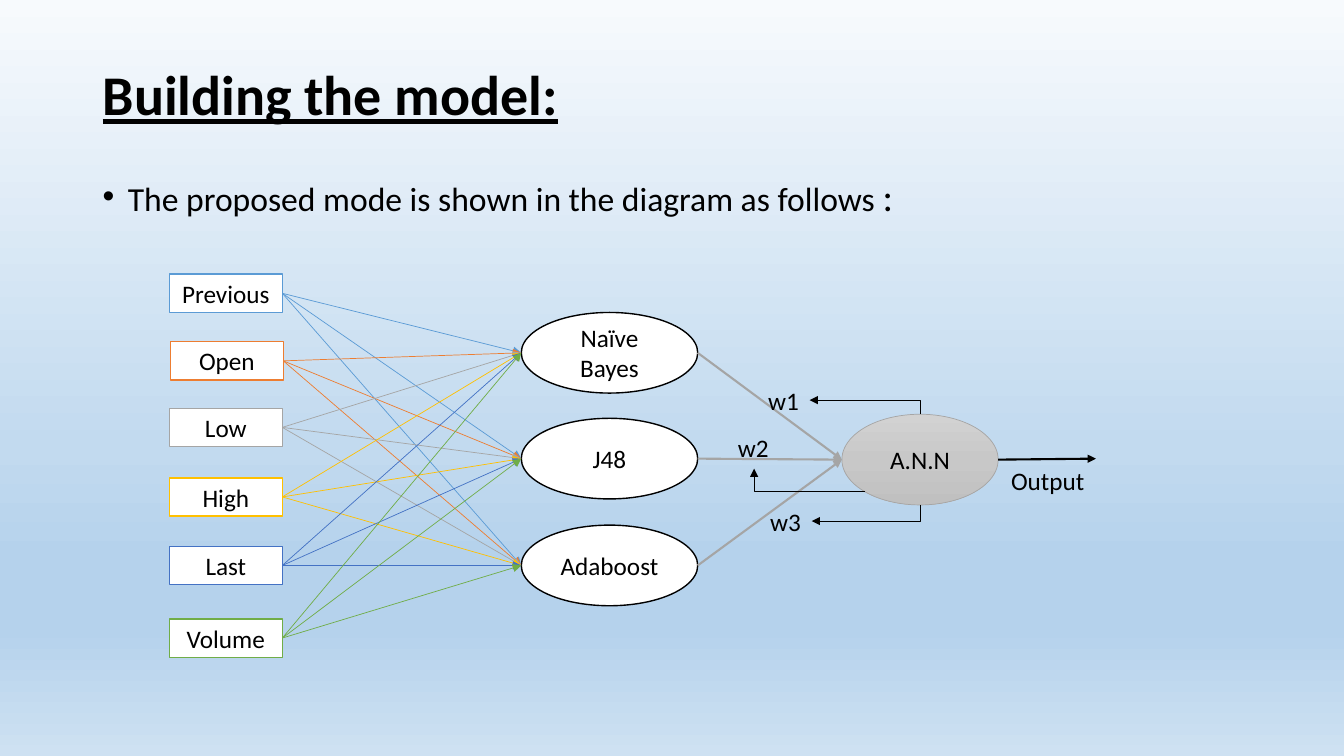
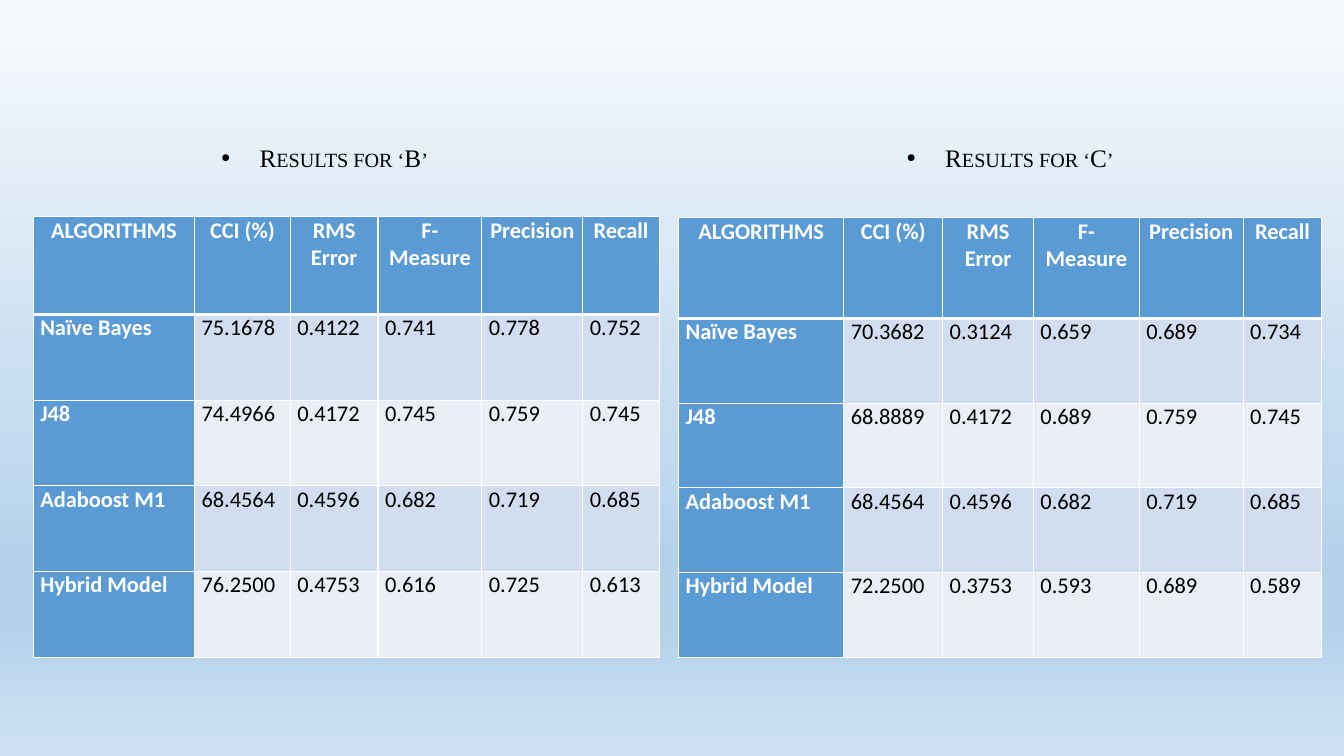
from dataclasses import dataclass

from lxml.etree import SubElement
from pptx import Presentation
from pptx.dml.color import RGBColor
from pptx.enum.shapes import MSO_CONNECTOR as Connector, MSO_SHAPE as Shape
from pptx.enum.text import MSO_ANCHOR as Anchor, MSO_AUTO_SIZE as AutoSize, PP_ALIGN as Align
from pptx.oxml.ns import qn
from pptx.util import Inches, Pt


@dataclass(frozen=True)
class Theme:
    font: str = "Calibri"
    caption_font: str = "Times New Roman"
    black: str = "000000"
    white: str = "FFFFFF"
    blue: str = "5B9BD5"
    orange: str = "ED7D31"
    gray: str = "A5A5A5"
    gold: str = "FFC000"
    indigo: str = "4472C4"
    green: str = "70AD47"
    bands: tuple = ("D2DEEF", "EAEFF7")
    background: tuple = ((0, "F7FAFD"), (59, "C2DAEF"), (74, "B5D2EC"), (83, "B5D2EC"), (100, "CEE1F2"))
    network_fill: tuple = ((0, "D2D2D2"), (50, "C8C8C8"), (100, "C0C0C0"))
    title_size: int = 40
    colon_size: int = 28
    body_size: int = 24
    label_size: int = 18
    table_size: int = 16
    thin: float = 0.5
    normal: float = 1
    thick: float = 1.5
    header_rule: float = 3


THEME = Theme()


def add_text(paragraph, text, size=THEME.label_size, font=THEME.font, color=THEME.black,
             bold=False, underline=False, small_caps=False, align=None):
    run = paragraph.add_run()
    run.text = text
    run.font.size = Pt(size)
    run.font.name = font
    run.font.bold = bold
    run.font.underline = underline
    run.font.color.rgb = RGBColor.from_string(color)
    if small_caps:
        run._r.get_or_add_rPr().set("cap", "small")
    if align is not None:
        paragraph.alignment = align


def add_bullet(paragraph, indent):
    properties = paragraph._p.get_or_add_pPr()
    properties.set("marL", str(Inches(indent)))
    properties.set("indent", str(-Inches(indent)))
    SubElement(properties, qn("a:buFont"), typeface="Arial")
    SubElement(properties, qn("a:buChar"), char="•")


def fill_gradient(fill, element, stops):
    fill.gradient()
    fill.gradient_angle = 270
    stop_list = next(element.iter(qn("a:gsLst")))
    for stop in list(stop_list):
        stop_list.remove(stop)
    for position, color in stops:
        stop = SubElement(stop_list, qn("a:gs"), pos=str(position * 1000))
        SubElement(stop, qn("a:srgbClr"), val=color)


def set_borders(cell, top, bottom):
    properties = cell._tc.get_or_add_tcPr()
    widths = {"L": THEME.normal, "R": THEME.normal, "T": top, "B": bottom}
    for side, width in widths.items():
        line = SubElement(properties, qn(f"a:ln{side}"), w=str(Pt(width)))
        SubElement(SubElement(line, qn("a:solidFill")), qn("a:srgbClr"), val=THEME.white)


class Deck:
    def __init__(self):
        self.presentation = Presentation()
        self.presentation.slide_width = Inches(13.33)
        self.presentation.slide_height = Inches(7.5)
        self.slide = None

    def new_slide(self):
        self.slide = self.presentation.slides.add_slide(self.presentation.slide_layouts[6])
        fill_gradient(self.slide.background.fill, self.slide.element, THEME.background)

    def text_box(self, left, top, width, height, wrap=True):
        box = self.slide.shapes.add_textbox(Inches(left), Inches(top), Inches(width), Inches(height))
        frame = box.text_frame
        frame.word_wrap = wrap
        frame.auto_size = AutoSize.NONE if wrap else AutoSize.SHAPE_TO_FIT_TEXT
        return frame

    def title(self, text):
        frame = self.text_box(0.92, 0.25, 11.5, 1.44)
        frame.vertical_anchor = Anchor.MIDDLE
        frame.paragraphs[0].line_spacing = 0.9
        add_text(frame.paragraphs[0], text, size=THEME.title_size, bold=True, underline=True)

    def body(self, text, ending):
        paragraph = self.text_box(0.92, 1.71, 11.5, 0.55).paragraphs[0]
        paragraph.line_spacing = 0.9
        paragraph.space_before = Pt(10)
        add_bullet(paragraph, 0.25)
        add_text(paragraph, text, size=THEME.body_size)
        add_text(paragraph, ending, size=THEME.colon_size)

    def label(self, text, left, top, width):
        frame = self.text_box(left, top, width, 0.4, wrap=False)
        add_text(frame.paragraphs[0], text)

    def caption(self, text, left):
        paragraph = self.text_box(left, 1.4, 2.32, 0.37, wrap=False).paragraphs[0]
        paragraph.line_spacing = 0.9
        paragraph.space_before = Pt(12)
        paragraph.space_after = Pt(6)
        add_bullet(paragraph, 0.38)
        add_text(paragraph, text, font=THEME.caption_font, small_caps=True, align=Align.CENTER)

    def node(self, text, kind, left, top, width, height, line_color,
             line_width=THEME.normal, gradient=None):
        shape = self.slide.shapes.add_shape(
            kind, Inches(left), Inches(top), Inches(width), Inches(height))
        shape.shadow.inherit = False
        if gradient:
            fill_gradient(shape.fill, shape.element, gradient)
        else:
            shape.fill.solid()
            shape.fill.fore_color.rgb = RGBColor.from_string(THEME.white)
        shape.line.color.rgb = RGBColor.from_string(line_color)
        shape.line.width = Pt(line_width)
        shape.text_frame.word_wrap = True
        shape.text_frame.vertical_anchor = Anchor.MIDDLE
        add_text(shape.text_frame.paragraphs[0], text, align=Align.CENTER)

    def arrow(self, start, end, color, width, kind=Connector.STRAIGHT):
        connector = self.slide.shapes.add_connector(
            kind, *(Inches(value) for value in (*start, *end)))
        connector.line.color.rgb = RGBColor.from_string(color)
        connector.line.width = Pt(width)
        properties = connector.element.spPr
        SubElement(properties.find(qn("a:ln")), qn("a:tailEnd"), type="triangle")
        SubElement(properties, qn("a:effectLst"))
        return connector

    def elbow_arrow(self, start, end, turns=1):
        (start_x, start_y), (end_x, end_y) = start, end
        center_x, center_y = (start_x + end_x) / 2, (start_y + end_y) / 2
        half_width, half_height = abs(end_y - start_y) / 2, abs(end_x - start_x) / 2
        connector = self.arrow(
            (center_x - half_width, center_y - half_height),
            (center_x + half_width, center_y + half_height),
            THEME.black, THEME.thin, Connector.ELBOW)
        properties = connector.element.spPr
        frame = properties.find(qn("a:xfrm"))
        rising = end_y < start_y
        frame.set("rot", str((270 if rising else 90) * 60000))
        if rising:
            frame.set("flipV", "1")
        geometry = properties.find(qn("a:prstGeom"))
        geometry.set("prst", f"bentConnector{turns + 1}")
        if turns == 2:
            SubElement(geometry.find(qn("a:avLst")), qn("a:gd"), name="adj1", fmla="val 0")

    def table(self, rows, left, top, column_widths, row_heights):
        table = self.slide.shapes.add_table(
            len(rows), len(column_widths), Inches(left), Inches(top),
            Inches(sum(column_widths)), Inches(sum(row_heights))).table
        for column, width in zip(table.columns, column_widths):
            column.width = Inches(width)
        for row, height in zip(table.rows, row_heights):
            row.height = Inches(height)
        for row_index, values in enumerate(rows):
            for column_index, value in enumerate(values):
                self.table_cell(table.cell(row_index, column_index), value, row_index, column_index)

    def table_cell(self, cell, value, row_index, column_index):
        header = row_index == 0
        heading = header or column_index == 0
        cell.margin_left = cell.margin_right = Inches(0.07)
        cell.margin_top = cell.margin_bottom = 0
        set_borders(cell,
                    top=THEME.header_rule if row_index == 1 else THEME.normal,
                    bottom=THEME.header_rule if header else THEME.normal)
        cell.fill.solid()
        color = THEME.blue if heading else THEME.bands[(row_index - 1) % 2]
        cell.fill.fore_color.rgb = RGBColor.from_string(color)
        add_text(cell.text_frame.paragraphs[0], value, size=THEME.table_size, bold=heading,
                 color=THEME.white if heading else THEME.black,
                 align=Align.CENTER if header else Align.JUSTIFY)


def build_model_slide(deck):
    deck.new_slide()
    deck.title("Building the model:")
    deck.body("The proposed mode is shown in the diagram as follows ", ":")

    inputs = [
        ("Previous", 1.68, 2.72, THEME.blue),
        ("Open", 1.69, 3.39, THEME.orange),
        ("Low", 1.68, 4.05, THEME.gray),
        ("High", 1.68, 4.74, THEME.gold),
        ("Last", 1.68, 5.42, THEME.indigo),
        ("Volume", 1.68, 6.14, THEME.green),
    ]
    classifiers = [("Naïve Bayes", 3.1), ("J48", 4.15), ("Adaboost", 5.21)]
    input_width, input_height = 1.12, 0.38
    classifier_left, classifier_width, classifier_height = 5.17, 1.75, 0.8
    network_left, network_top, network_width, network_height = 8.35, 4.11, 1.55, 0.9
    network_middle = network_top + network_height / 2
    network_center = network_left + network_width / 2

    for name, left, top, color in inputs:
        deck.node(name, Shape.FLOWCHART_PROCESS, left, top, input_width, input_height, color)
    for name, top in classifiers:
        deck.node(name, Shape.OVAL, classifier_left, top, classifier_width, classifier_height,
                  THEME.black)
    middles = [top + classifier_height / 2 for _, top in classifiers]
    for _, left, top, color in inputs:
        for middle in middles:
            deck.arrow((left + input_width, top + input_height / 2),
                       (classifier_left, middle), color, THEME.thin)

    deck.node("A.N.N", Shape.OVAL, network_left, network_top, network_width, network_height,
              THEME.gray, THEME.thin, THEME.network_fill)
    for middle in middles:
        deck.arrow((classifier_left + classifier_width, middle),
                   (network_left, network_middle), THEME.gray, THEME.thick)
    deck.arrow((network_left + network_width, network_middle), (10.87, 4.55),
               THEME.black, THEME.thick)

    deck.label("Output", 9.93, 4.57, 0.94)
    for name, left, top in [("w1", 7.52, 3.77), ("w2", 7.22, 4.24), ("w3", 7.54, 4.97)]:
        deck.label(name, left, top, 0.51)
    deck.elbow_arrow((network_center, network_top), (8.03, 3.97))
    deck.elbow_arrow((network_center, network_top + network_height), (8.05, 5.17))
    deck.elbow_arrow((8.58, 4.88), (7.48, 4.65), turns=2)


def build_results_slide(deck):
    deck.new_slide()
    header = ["ALGORITHMS", "CCI (%)", "RMS Error", "F-Measure", "Precision", "Recall"]
    results_b = [
        header,
        ["Naïve Bayes", "75.1678", "0.4122", "0.741", "0.778", "0.752"],
        ["J48", "74.4966", "0.4172", "0.745", "0.759", "0.745"],
        ["Adaboost M1", "68.4564", "0.4596", "0.682", "0.719", "0.685"],
        ["Hybrid Model", "76.2500", "0.4753", "0.616", "0.725", "0.613"],
    ]
    results_c = [
        header,
        ["Naïve Bayes", "70.3682", "0.3124", "0.659", "0.689", "0.734"],
        ["J48", "68.8889", "0.4172", "0.689", "0.759", "0.745"],
        ["Adaboost M1", "68.4564", "0.4596", "0.682", "0.719", "0.685"],
        ["Hybrid Model", "72.2500", "0.3753", "0.593", "0.689", "0.589"],
    ]
    deck.caption("Results for ‘B’", 2.06)
    deck.caption("Results for ‘C’", 8.86)
    deck.table(results_b, 0.33, 2.15, [1.6, 0.95, 0.87, 1.03, 1, 0.76], [0.97] + [0.85] * 4)
    deck.table(results_c, 6.73, 2.16, [1.64, 0.98, 0.9, 1.05, 1.03, 0.78], [1] + [0.84] * 4)


def main():
    deck = Deck()
    build_model_slide(deck)
    build_results_slide(deck)
    deck.presentation.save("out.pptx")


if __name__ == "__main__":
    main()
